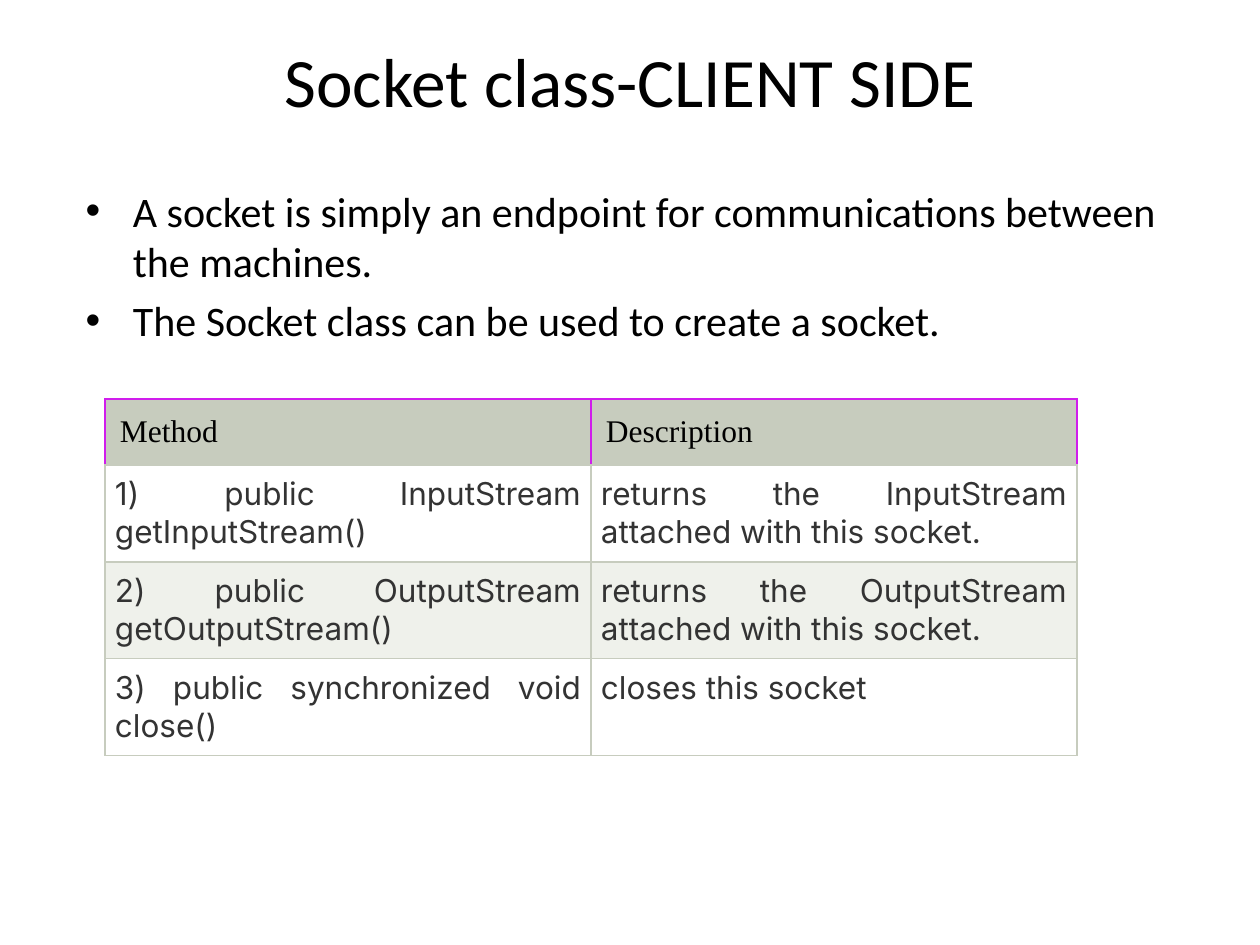
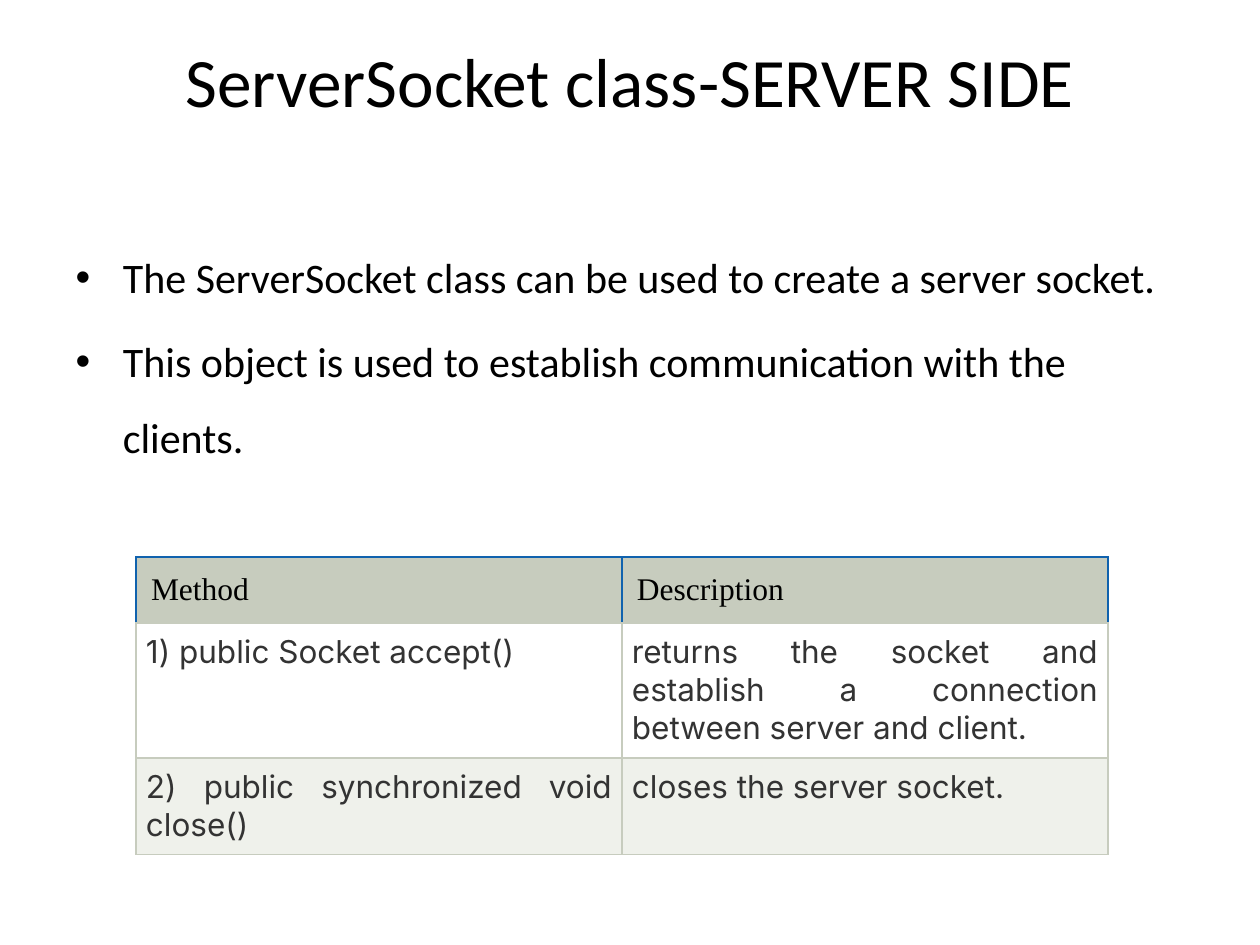
"""Build two slides on the client and server socket classes."""
from lxml import etree
from pptx import Presentation
from pptx.dml.color import RGBColor
from pptx.enum.text import MSO_ANCHOR, MSO_AUTO_SIZE, PP_ALIGN
from pptx.oxml.ns import qn
from pptx.util import Pt

MIDDLE, TOP = MSO_ANCHOR.MIDDLE, MSO_ANCHOR.TOP
NO_FIT = MSO_AUTO_SIZE.NONE
LEFT, CENTER, JUSTIFY = PP_ALIGN.LEFT, PP_ALIGN.CENTER, PP_ALIGN.JUSTIFY

COLORS = {
    "black": "000000", "text": "333333", "white": "FFFFFF",
    "head": "C7CCBE", "band": "EFF1EB", "pink": "D01DEC", "blue": "1062AE",
}
FONTS = {
    "title": {"name": "Calibri", "size": Pt(39.6), "color": "black"},
    "body": {"name": "Calibri", "size": Pt(24), "color": "black"},
    "head": {"name": "Times New Roman", "size": Pt(18), "color": "black"},
    "cell": {"name": "Inter", "size": Pt(18), "color": "text"},
}

HEADER = ("Method", "Description")
SLIDES = [
    {
        "title": "Socket class-CLIENT SIDE",
        "list": [
            "A socket is simply an endpoint for communications between the machines.",
            "The Socket class can be used to create a socket.",
        ],
        "body": (73, 179), "space": 1.0, "table": (105, 399), "edge": "pink",
        "rows": [
            (2, "1) public InputStream getInputStream()",
             "returns the InputStream attached with this socket."),
            (2, "2) public OutputStream getOutputStream()",
             "returns the OutputStream attached with this socket."),
            (2, "3) public synchronized void close()", "closes this socket"),
        ],
    },
    {
        "title": "ServerSocket class-SERVER SIDE",
        "list": [
            "The ServerSocket class can be used to create a server socket.",
            "This object is used to establish communication with the clients.",
        ],
        "body": (63, 220), "space": 1.5, "table": (136, 557), "edge": "blue",
        "rows": [
            (3, "1) public Socket accept()",
             "returns the socket and establish a connection between server and client."),
            (2, "2) public synchronized void close()", "closes the server socket."),
        ],
    },
]

SCALE = 914400 / 126
PAGE = (1260, 945)
TITLE = (63, 38, 1134, 158)
TITLE_GAP = 81
BODY_SIZE = (1134, 624)
COL, HEAD_ROW, LINE, ROW_PAD = 486, 66, 38, 21
HEAD_INSET, CELL_INSET = 15, 10
SIDES = ("left", "right", "top", "bottom")


def px(num):
    """Turn px into EMU."""
    return round(num * SCALE)


def rgb(key):
    """Look up a colour by its key."""
    return RGBColor.from_string(COLORS[key])


def apply(obj, **vals):
    """Set each named value on an object."""
    for key, val in vals.items():
        setattr(obj, key, val)


def place(shape, box):
    """Move and size a shape in px."""
    apply(shape, **dict(zip(("left", "top", "width", "height"), map(px, box))))


def write(frame, lines, style, align=LEFT, space=None):
    """Fill a text frame with styled paragraphs."""
    frame.text = "\n".join(lines)
    look = dict(FONTS[style])
    tint = rgb(look.pop("color"))
    for para in frame.paragraphs:
        apply(para, alignment=align, line_spacing=space)
        for run in para.runs:
            apply(run.font, **look)
            run.font.color.rgb = tint


def border(cell, edges):
    """Draw the four borders of a cell."""
    props = cell._tc.get_or_add_tcPr()
    for tag, key in zip(("a:lnL", "a:lnR", "a:lnT", "a:lnB"), edges):
        line = etree.SubElement(props, qn(tag), w=str(Pt(0.75)))
        fill = etree.SubElement(line, qn("a:solidFill"))
        etree.SubElement(fill, qn("a:srgbClr"), val=COLORS[key])


def paint(cell, text, style, fill, edges, inset, align):
    """Format and fill one table cell."""
    border(cell, edges)
    cell.fill.solid()
    cell.fill.fore_color.rgb = rgb(fill)
    apply(cell, vertical_anchor=TOP,
          **{f"margin_{side}": px(inset) for side in SIDES})
    write(cell.text_frame, [text], style, align)


def add_grid(slide, data):
    """Add the table of methods."""
    rows = [HEADER] + [row[1:] for row in data["rows"]]
    highs = [HEAD_ROW] + [ROW_PAD + LINE * row[0] for row in data["rows"]]
    box = (*data["table"], COL * len(HEADER), sum(highs))
    grid = slide.shapes.add_table(len(rows), len(HEADER), *map(px, box)).table
    apply(grid, first_row=False, horz_banding=False)
    for col in grid.columns:
        col.width = px(COL)
    for i, (row, high) in enumerate(zip(rows, highs)):
        grid.rows[i].height = px(high)
        if i == 0:
            look = ("head", "head", [data["edge"]] * 3 + ["head"], HEAD_INSET, LEFT)
        else:
            fill = "white" if i % 2 else "band"
            look = ("cell", fill, ["head"] * 4, CELL_INSET, JUSTIFY)
        for j, text in enumerate(row):
            paint(grid.cell(i, j), text, *look)


def add_slide(deck, data):
    """Add one slide with title, list and table."""
    slide = deck.slides.add_slide(deck.slide_layouts[1])
    title, body = slide.shapes.title, slide.placeholders[1]
    place(title, TITLE)
    apply(title.text_frame, vertical_anchor=MIDDLE, auto_size=NO_FIT,
          margin_bottom=px(TITLE_GAP))
    write(title.text_frame, [data["title"]], "title", CENTER)
    place(body, data["body"] + BODY_SIZE)
    body.text_frame.auto_size = NO_FIT
    write(body.text_frame, data["list"], "body", space=data["space"])
    add_grid(slide, data)


def main():
    """Build and save the deck."""
    deck = Presentation()
    apply(deck, slide_width=px(PAGE[0]), slide_height=px(PAGE[1]))
    for data in SLIDES:
        add_slide(deck, data)
    deck.save("out.pptx")


if __name__ == "__main__":
    main()
